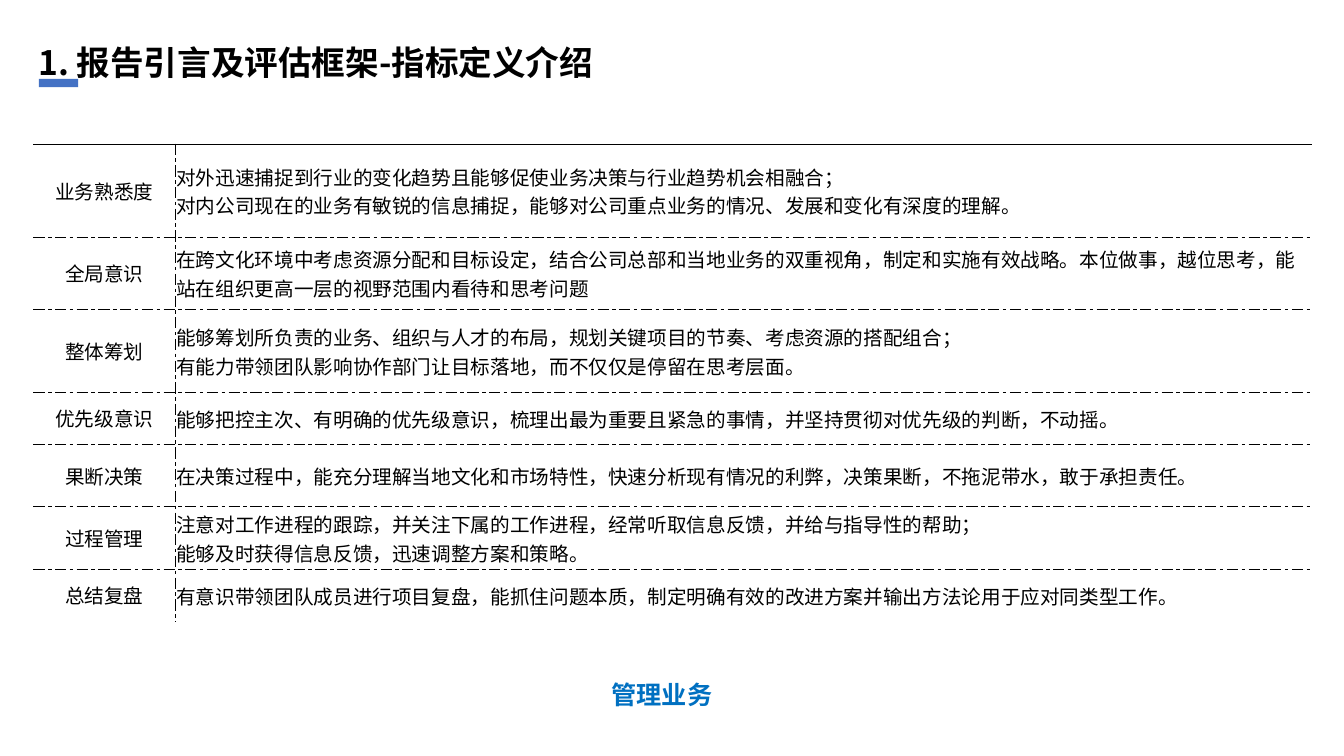
from dataclasses import dataclass

from lxml import etree
from pptx import Presentation
from pptx.dml.color import RGBColor
from pptx.enum.shapes import MSO_SHAPE
from pptx.enum.text import MSO_ANCHOR, MSO_AUTO_SIZE, PP_ALIGN
from pptx.oxml.ns import qn
from pptx.util import Pt

RECT = MSO_SHAPE.RECTANGLE
TOP, MID = MSO_ANCHOR.TOP, MSO_ANCHOR.MIDDLE
FIT = MSO_AUTO_SIZE.SHAPE_TO_FIT_TEXT
LEFT, CENTER, JUST = PP_ALIGN.LEFT, PP_ALIGN.CENTER, PP_ALIGN.JUSTIFY


@dataclass(frozen=True)
class Theme:
    face: str = "Noto Sans CJK SC"
    ink: str = "000000"
    paper: str = "FFFFFF"
    mark: str = "4472C4"
    blue: str = "0070C1"
    head: float = 24
    foot: float = 18
    body: float = 14
    thick: float = 1
    thin: float = 0.5


THEME = Theme()
COLS = (101.5, 812.2)
ROWS = (
    (66.2, "业务熟悉度", "对外迅速捕捉到行业的变化趋势且能够促使业务决策与行业趋势机会相融合；\v"
     "对内公司现在的业务有敏锐的信息捕捉，能够对公司重点业务的情况、发展和变化有深度的理解。"),
    (51.8, "全局意识", "在跨文化环境中考虑资源分配和目标设定，结合公司总部和当地业务的双重视角，"
     "制定和实施有效战略。本位做事，越位思考，能站在组织更高一层的视野范围内看待和思考问题"),
    (59, "整体筹划", "能够筹划所负责的业务、组织与人才的布局，规划关键项目的节奏、考虑资源的搭配组合；\v"
     "有能力带领团队影响协作部门让目标落地，而不仅仅是停留在思考层面。"),
    (37.4, "优先级意识", "能够把控主次、有明确的优先级意识，梳理出最为重要且紧急的事情，"
     "并坚持贯彻对优先级的判断，不动摇。"),
    (44.6, "果断决策", "在决策过程中，能充分理解当地文化和市场特性，快速分析现有情况的利弊，"
     "决策果断，不拖泥带水，敢于承担责任。"),
    (44.6, "过程管理", "注意对工作进程的跟踪，并关注下属的工作进程，经常听取信息反馈，并给与指导性的帮助；\v"
     "能够及时获得信息反馈，迅速调整方案和策略。"),
    (37.4, "总结复盘", "有意识带领团队成员进行项目复盘，能抓住问题本质，"
     "制定明确有效的改进方案并输出方法论用于应对同类型工作。"),
)


def apply(item, **form):
    for key, value in form.items():
        setattr(item, key, value)


def write(frame, text, size, tint, align, bold=False, space=1.0):
    frame.text = text
    para = frame.paragraphs[0]
    apply(para, alignment=align, line_spacing=space)
    for run in para.runs:
        apply(run.font, name=THEME.face, size=Pt(size), bold=bold)
        run.font.color.rgb = RGBColor.from_string(tint)
        face = etree.Element(qn("a:ea"), typeface=THEME.face)
        run.font._element.find(qn("a:latin")).addnext(face)


def place(shape, box):
    apply(shape, **dict(zip(("left", "top", "width", "height"), map(Pt, box))))


def add_head(slide, box):
    x, y, _, high = box
    bar = slide.shapes.add_shape(RECT, Pt(x + 7.5), Pt(y + high - 2), Pt(28.1), Pt(5.8))
    bar.shadow.inherit = False
    bar.fill.solid()
    bar.fill.fore_color.rgb = RGBColor.from_string(THEME.mark)
    bar.line.fill.background()
    title = slide.shapes.title
    place(title, box)
    apply(title.text_frame, word_wrap=True, auto_size=FIT, vertical_anchor=TOP)
    write(title.text_frame, "1. 报告引言及评估框架-指标定义介绍",
          THEME.head, THEME.ink, LEFT, True, 1.1)


def edge(cell, sides):
    props = cell._tc.get_or_add_tcPr()
    for spot, side in enumerate("LRTB"):
        width, dash = sides.get(side, (0, None))
        line = etree.Element(qn("a:ln" + side), w=str(Pt(width)))
        props.insert(spot, line)
        if not width:
            etree.SubElement(line, qn("a:noFill"))
            continue
        fill = etree.SubElement(line, qn("a:solidFill"))
        etree.SubElement(fill, qn("a:srgbClr"), val=THEME.ink)
        etree.SubElement(line, qn("a:prstDash"), val=dash)


def add_grid(slide, box):
    table = slide.shapes.add_table(len(ROWS), len(COLS), *map(Pt, box)).table
    apply(table, first_row=False, horz_banding=False)
    for col, width in zip(table.columns, COLS):
        col.width = Pt(width)
    dash = (THEME.thin, "sysDashDot")
    solid = (THEME.thick, "solid")
    for r, (high, *texts) in enumerate(ROWS):
        table.rows[r].height = Pt(high)
        for c, text in enumerate(texts):
            cell = table.cell(r, c)
            apply(cell, vertical_anchor=MID, margin_left=Pt(0.7), margin_right=Pt(0.7),
                  margin_top=Pt(0.7), margin_bottom=Pt(0 if c else 0.7))
            write(cell.text_frame, text, THEME.body, THEME.ink, LEFT if c else CENTER)
            cell.fill.solid()
            cell.fill.fore_color.rgb = RGBColor.from_string(THEME.paper)
            sides = {"L" if c else "R": dash, "T": dash if r else solid}
            if r < len(ROWS) - 1:
                sides["B"] = dash
            edge(cell, sides)


def add_foot(slide, box):
    note = slide.shapes.add_textbox(*map(Pt, box))
    apply(note.text_frame, word_wrap=True, auto_size=FIT)
    write(note.text_frame, "管理业务", THEME.foot, THEME.blue, JUST, True)


def main():
    deck = Presentation()
    apply(deck, slide_width=Pt(960), slide_height=Pt(540))
    slide = deck.slides.add_slide(deck.slide_layouts.get_by_name("Title Only"))
    add_head(slide, (20.2, 23.8, 480, 34.6))
    high = sum(row[0] for row in ROWS)
    add_grid(slide, (23.8, 103, sum(COLS), high))
    add_foot(slide, (429.8, 481.7, 100, 28.8))
    deck.save("out.pptx")


if __name__ == "__main__":
    main()
